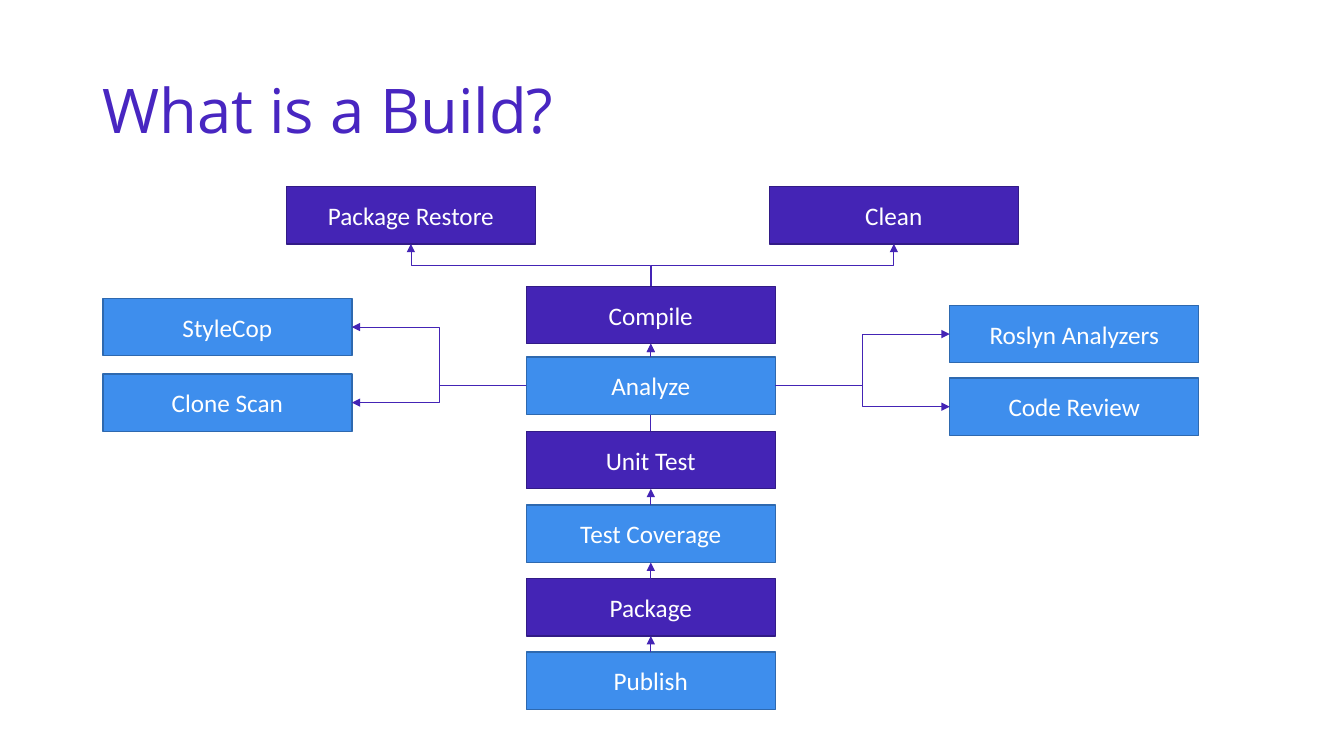
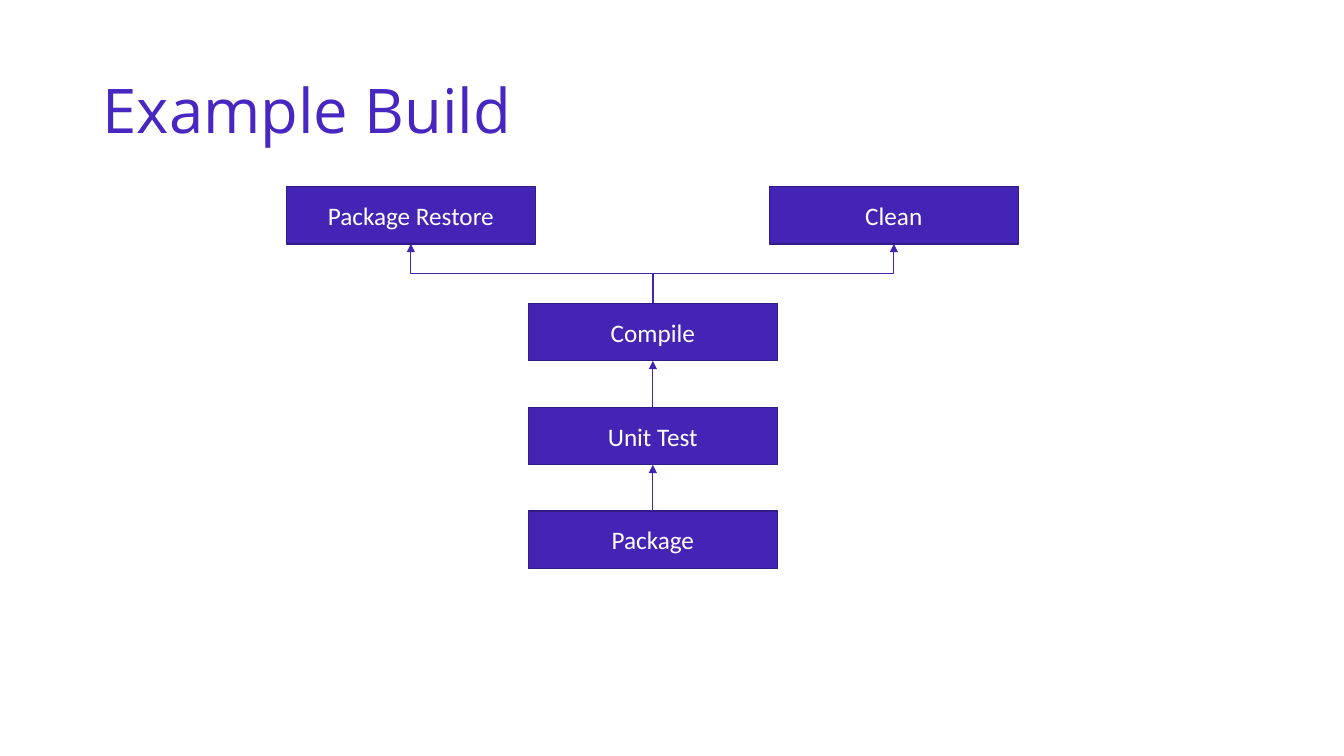
from pptx import Presentation
from pptx.dml.color import RGBColor
from pptx.enum.shapes import MSO_CONNECTOR as Conn, MSO_SHAPE as Shape
from pptx.enum.text import MSO_ANCHOR as Anchor, PP_ALIGN as Align
from pptx.oxml.ns import qn
from pptx.util import Inches, Pt
from lxml.etree import SubElement

# Shared style
TITLE, INK, WHITE = "4826C1", "4424B5", "FFFFFF"
CORE = (INK, "321B86")
EXTRA = ("3E8EED", "2E69AF")
BOX_W, BOX_H = 2.47, 0.57
TOP, LEFT, BOTTOM, RIGHT = range(4)  # connection sites of a box

# Columns and rows
WEST, EAST = 1.02, 9.42
MID, MID2 = 5.22, 5.24
STEP, STEP2 = 0.73, 1.03
TEST, COMP2 = 4.28, 3.01

# Each box: name, left, top, tone, names of earlier boxes it points to
START = [
    ("Package Restore", 2.84, 1.85, CORE, []),
    ("Clean", 7.63, 1.85, CORE, []),
]
SLIDES = [
    ("What is a Build?", START + [
        ("Compile", MID, 2.84, CORE, ["Package Restore", "Clean"]),
        ("Unit Test", MID, TEST, CORE, ["Compile"]),
        ("Test Coverage", MID, TEST + STEP, EXTRA, ["Unit Test"]),
        ("Package", MID, TEST + 2 * STEP, CORE, ["Test Coverage"]),
        ("Publish", MID, TEST + 3 * STEP, EXTRA, ["Package"]),
        ("StyleCop", WEST, 2.96, EXTRA, []),
        ("Clone Scan", WEST, 3.71, EXTRA, []),
        ("Roslyn Analyzers", EAST, 3.03, EXTRA, []),
        ("Code Review", EAST, 3.75, EXTRA, []),
        ("Analyze", MID, 3.54, EXTRA,
         ["StyleCop", "Clone Scan", "Roslyn Analyzers", "Code Review",
          "Compile"]),
    ]),
    ("Example Build", START + [
        ("Compile", MID2, COMP2, CORE, ["Package Restore", "Clean"]),
        ("Unit Test", MID2, COMP2 + STEP2, CORE, ["Compile"]),
        ("Package", MID2, COMP2 + 2 * STEP2, CORE, ["Unit Test"]),
    ]),
]


def rgb(code):
    return RGBColor.from_string(code)


def write(shape, text, font="Calibri", size=18, color=WHITE,
          align=Align.CENTER, space=1.0):
    frame = shape.text_frame
    frame.word_wrap = True
    frame.vertical_anchor = Anchor.MIDDLE
    para = frame.paragraphs[0]
    para.alignment, para.line_spacing = align, space
    run = para.add_run()
    run.text = text
    run.font.name, run.font.size = font, Pt(size)
    run.font.color.rgb = rgb(color)


def add_box(slide, name, x, y, tone):
    box = slide.shapes.add_shape(Shape.RECTANGLE, Inches(x), Inches(y),
                                 Inches(BOX_W), Inches(BOX_H))
    box.shadow.inherit = False
    box.fill.solid()
    box.fill.fore_color.rgb = rgb(tone[0])
    box.line.color.rgb = rgb(tone[1])
    box.line.width = Pt(1)
    write(box, name)
    return box


def turn(line):
    """Make an upward elbow leave and arrive vertically."""
    x, y = line.begin_x, line.begin_y
    dx, dy = line.end_x - x, line.end_y - y
    wide, high = abs(dy), abs(dx)
    line.left = x + (dx - wide) // 2
    line.top = y + (dy - high) // 2
    line.width, line.height = wide, high
    form = line._element.spPr.find(qn("a:xfrm"))
    form.set("rot", str((270 if dx < 0 else 90) * 60000))
    form.set("flipH", "0" if dx < 0 else "1")
    form.set("flipV", "1")


def add_link(slide, src, dest):
    # Choose facing sides from where the boxes stand
    if dest.left + dest.width < src.left:
        out, into = LEFT, RIGHT
    elif dest.left > src.left + src.width:
        out, into = RIGHT, LEFT
    else:
        out, into = TOP, BOTTOM
    kind = Conn.STRAIGHT if src.left == dest.left else Conn.ELBOW
    line = slide.shapes.add_connector(kind, 0, 0, 0, 0)
    line.begin_connect(src, out)
    line.end_connect(dest, into)
    if kind == Conn.ELBOW and out == TOP:
        turn(line)
    line.line.color.rgb = rgb(INK)
    line.line.width = Pt(0.5)
    props = line._element.spPr
    SubElement(props.find(qn("a:ln")), qn("a:tailEnd"), type="triangle")
    SubElement(props, qn("a:effectLst"))


def add_slide(deck, title, boxes):
    slide = deck.slides.add_slide(deck.slide_layouts[6])
    head = slide.shapes.add_textbox(Inches(0.92), Inches(0.4),
                                    Inches(11.5), Inches(1.45))
    write(head, title, font="Open Sans", size=44, color=TITLE,
          align=Align.LEFT, space=0.9)
    made = {}
    for name, x, y, tone, goals in boxes:
        made[name] = add_box(slide, name, x, y, tone)
        for goal in goals:
            add_link(slide, made[name], made[goal])


def main():
    deck = Presentation()
    deck.slide_width, deck.slide_height = Inches(13.33), Inches(7.5)
    for title, boxes in SLIDES:
        add_slide(deck, title, boxes)
    deck.save("out.pptx")


if __name__ == "__main__":
    main()
